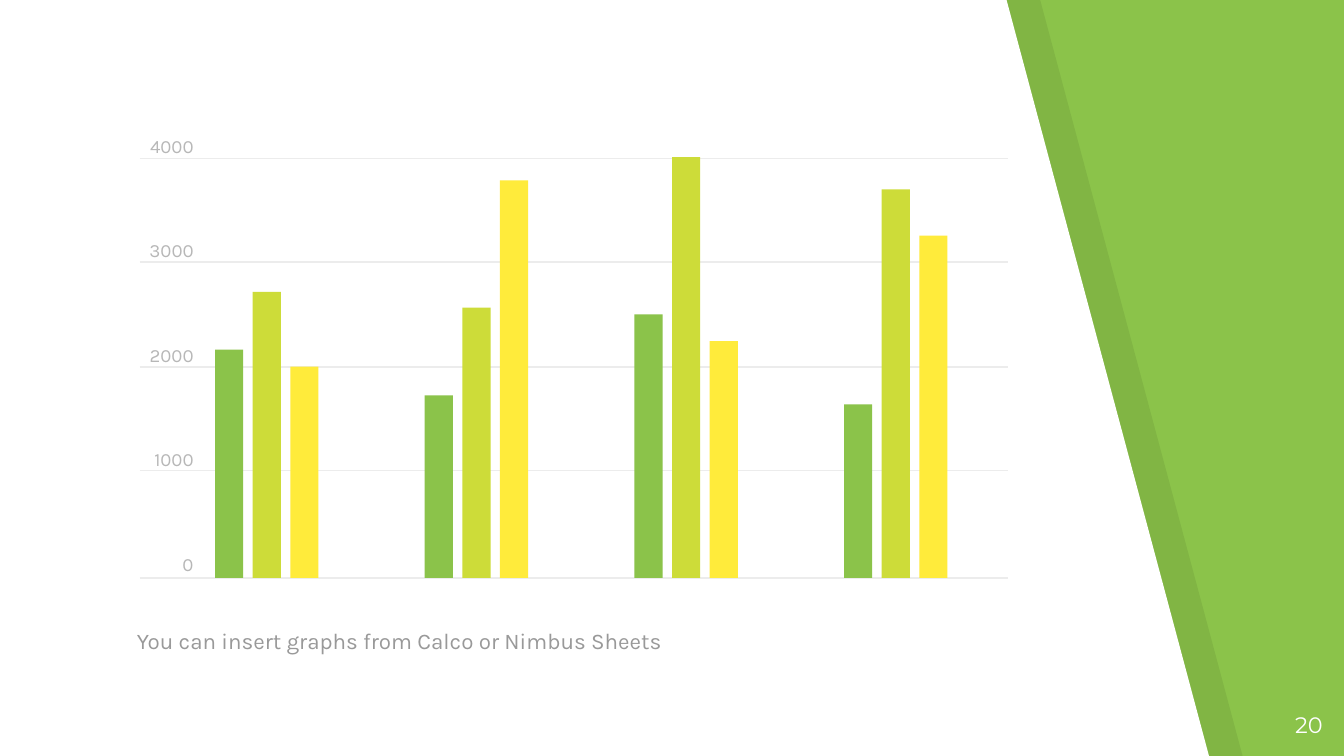
from lxml import etree
from pptx import Presentation
from pptx.dml.color import RGBColor
from pptx.enum.shapes import MSO_CONNECTOR, MSO_SHAPE
from pptx.enum.text import MSO_ANCHOR, PP_ALIGN
from pptx.oxml.ns import qn
from pptx.util import Inches, Pt

STRAIGHT = MSO_CONNECTOR.STRAIGHT
RECT = MSO_SHAPE.RECTANGLE
TOP, BOTTOM = MSO_ANCHOR.TOP, MSO_ANCHOR.BOTTOM
LEFT, RIGHT = PP_ALIGN.LEFT, PP_ALIGN.RIGHT

CAPTION = "You can insert graphs from Calco or Nimbus Sheets"
PAGE = "20"
TICKS = ["4000", "3000", "2000", "1000", "0"]
GROUPS = [
    (2170, 2720, 2010),
    (1735, 2570, 3780),
    (2505, 4000, 2250),
    (1650, 3695, 3255),
]

THEME = {
    "background": "8BC34A",
    "panel": "FFFFFF",
    "shade": "000000",
    "grid": "ECECEC",
    "series": ("8BC34A", "CDDC39", "FFEB3B"),
    "caption": ("Karla", 12, "999999"),
    "tick": ("Karla", 10, "B7B7B7"),
    "page": ("Montserrat", 12, "FFFFFF"),
}

PANEL = [(0, -0.01), (0, 5.64), (9, 5.64), (7.49, 0)]
SHADE_OFFSET, SHADE_ALPHA = 0.25, 7
GRID_LEFT, GRID_RIGHT = 1.04, 7.5
GRID_YS = [1.18, 1.95, 2.73, 3.5, 4.3]
BASE, PLOT_HEIGHT, MAX_VALUE = 4.3, 3.13, 4000
FIRST_BAR, GROUP_STEP, BAR_STEP, BAR_WIDTH = 1.6, 1.56, 0.28, 0.21
TICK_GAP = 44


def paint(sp, color):
    sp.shadow.inherit = False
    sp.fill.solid()
    sp.fill.fore_color.rgb = RGBColor.from_string(color)
    sp.line.fill.background()


def add_panel(slide, offset, color):
    points = [(round((x + offset) * 100), round(y * 100)) for x, y in PANEL]
    builder = slide.shapes.build_freeform(*points[0], scale=Inches(0.01))
    builder.add_line_segments(points[1:], close=True)
    sp = builder.convert_to_shape()
    paint(sp, color)
    return sp


def add_text(slide, box, lines, style, align=LEFT, anchor=TOP, inset=0.1, gap=0):
    font, size, color = style
    tf = slide.shapes.add_textbox(*map(Inches, box)).text_frame
    tf.word_wrap = True
    tf.vertical_anchor = anchor
    tf.margin_left = tf.margin_right = Inches(inset)
    tf.margin_top = tf.margin_bottom = Inches(inset)
    tf.text = "\n".join(lines)
    for i, p in enumerate(tf.paragraphs):
        p.alignment = align
        p.space_before = Pt(gap if i else 0)
        for r in p.runs:
            r.font.name = font
            r.font.size = Pt(size)
            r.font.color.rgb = RGBColor.from_string(color)


def add_grid_line(slide, y):
    line = slide.shapes.add_connector(
        STRAIGHT, Inches(GRID_LEFT), Inches(y), Inches(GRID_RIGHT), Inches(y)
    )
    line.line.color.rgb = RGBColor.from_string(THEME["grid"])
    line.line.width = Pt(0.75)
    etree.SubElement(line._element.spPr, qn("a:effectLst"))


def add_bar(slide, group, series, value):
    height = value / MAX_VALUE * PLOT_HEIGHT
    left = FIRST_BAR + group * GROUP_STEP + series * BAR_STEP
    box = (left, BASE - height, BAR_WIDTH, height)
    paint(slide.shapes.add_shape(RECT, *map(Inches, box)), THEME["series"][series])


def main():
    prs = Presentation()
    prs.slide_width = Inches(10)
    prs.slide_height = prs.slide_width * 9 // 16
    slide = prs.slides.add_slide(prs.slide_layouts[6])
    slide.background.fill.solid()
    slide.background.fill.fore_color.rgb = RGBColor.from_string(THEME["background"])

    shade = add_panel(slide, SHADE_OFFSET, THEME["shade"])
    color = shade._element.spPr.find(qn("a:solidFill"))[0]
    etree.SubElement(color, qn("a:alpha"), val=str(SHADE_ALPHA * 1000))
    add_panel(slide, 0, THEME["panel"])

    add_text(slide, (0.92, 4.4, 8.58, 0.57), [CAPTION], THEME["caption"], anchor=BOTTOM)
    add_text(slide, (9.34, 5.19, 0.6, 0.43), [PAGE], THEME["page"], align=RIGHT)

    for y in GRID_YS:
        add_grid_line(slide, y)
    add_text(slide, (GRID_LEFT, 1, 0.4, 3.31), TICKS, THEME["tick"],
             align=RIGHT, inset=0, gap=TICK_GAP)
    for group, values in enumerate(GROUPS):
        for series, value in enumerate(values):
            add_bar(slide, group, series, value)

    prs.save("out.pptx")


if __name__ == "__main__":
    main()
